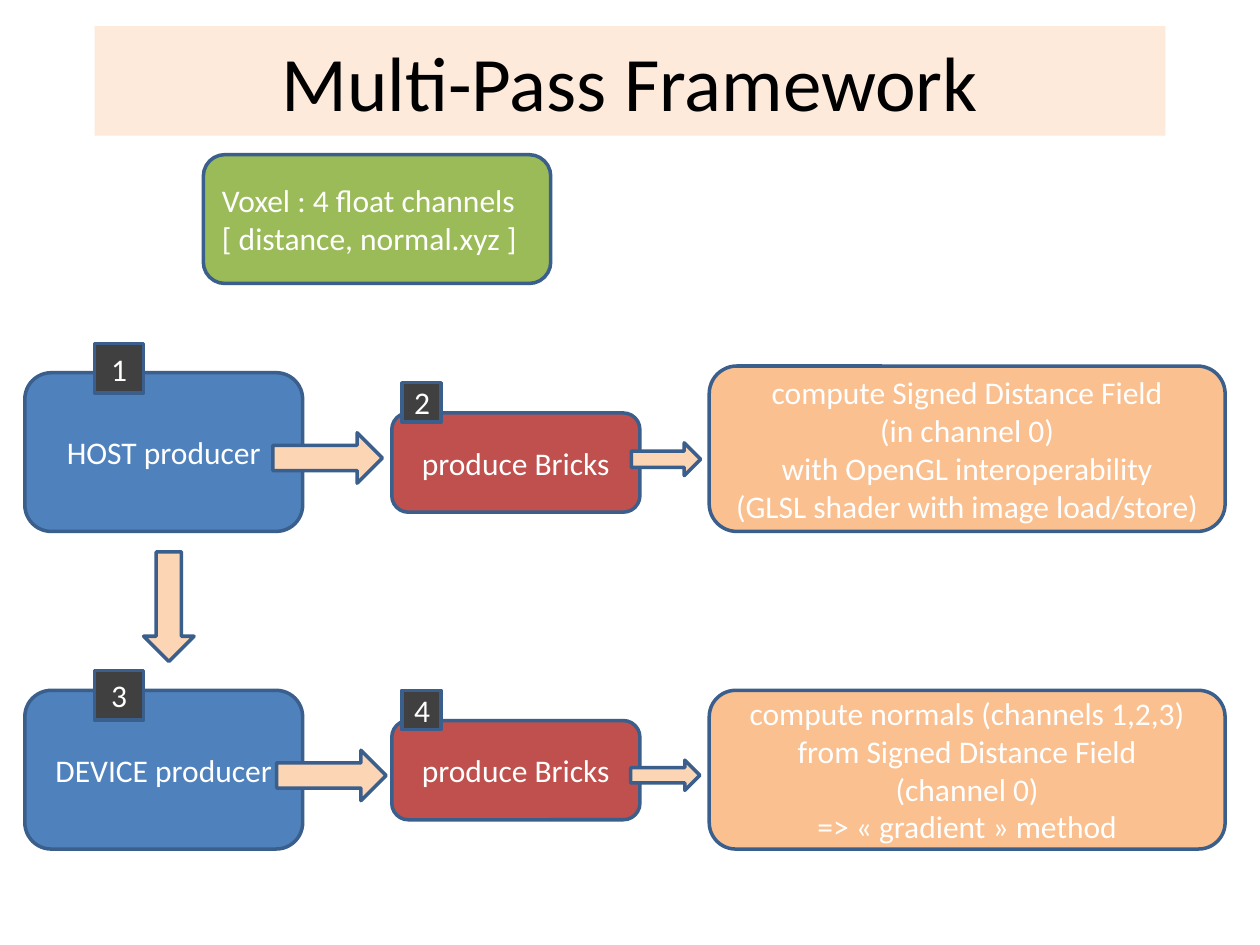
from typing import NamedTuple

from pptx import Presentation
from pptx.dml.color import RGBColor
from pptx.enum.shapes import MSO_SHAPE
from pptx.enum.text import MSO_ANCHOR, PP_ALIGN
from pptx.util import Pt

BLACK = RGBColor(0x00, 0x00, 0x00)
WHITE = RGBColor(0xFF, 0xFF, 0xFF)
CREAM = RGBColor(0xFD, 0xEA, 0xDA)
PEACH = RGBColor(0xFC, 0xD5, 0xB5)
ORANGE = RGBColor(0xFA, 0xC0, 0x90)
BLUE = RGBColor(0x4F, 0x81, 0xBD)
RED = RGBColor(0xC0, 0x50, 0x4D)
GREEN = RGBColor(0x9B, 0xBB, 0x59)
GREY = RGBColor(0x40, 0x40, 0x40)
EDGE = RGBColor(0x3A, 0x5F, 0x8C)
FONT = "Calibri"


class Box(NamedTuple):
    left: float
    top: float
    width: float
    height: float
    fill: RGBColor
    lines: tuple[str, ...]
    kind: MSO_SHAPE = MSO_SHAPE.ROUNDED_RECTANGLE
    align: PP_ALIGN = PP_ALIGN.CENTER


class Arrow(NamedTuple):
    left: float
    top: float
    width: float
    height: float
    turn: float = 270


def badge(left: float, top: float, size: float, label: str) -> Box:
    return Box(left, top, size, size, GREY, (label,), MSO_SHAPE.RECTANGLE)


def add_text(frame, lines: tuple[str, ...], size: float, color: RGBColor,
             align: PP_ALIGN) -> None:
    frame.word_wrap = True
    frame.vertical_anchor = MSO_ANCHOR.MIDDLE
    for i, line in enumerate(lines):
        para = frame.add_paragraph() if i else frame.paragraphs[0]
        para.alignment = align
        run = para.add_run()
        run.text = line
        run.font.name = FONT
        run.font.size = Pt(size)
        run.font.color.rgb = color


def add_shape(slide, kind: MSO_SHAPE, item: Box | Arrow, fill: RGBColor):
    """Add a filled, outlined shape in the place the item gives."""
    shape = slide.shapes.add_shape(kind, *map(Pt, item[:4]))
    shape.shadow.inherit = False
    shape.fill.solid()
    shape.fill.fore_color.rgb = fill
    shape.line.color.rgb = EDGE
    shape.line.width = Pt(2)
    return shape


def draw_box(slide, box: Box) -> None:
    shape = add_shape(slide, box.kind, box, box.fill)
    add_text(shape.text_frame, box.lines, 18, WHITE, box.align)


def draw_arrow(slide, arrow: Arrow) -> None:
    shape = add_shape(slide, MSO_SHAPE.DOWN_ARROW, arrow, PEACH)
    shape.rotation = arrow.turn


def draw_title(slide) -> None:
    title = slide.shapes.title
    title.left, title.top = Pt(54), Pt(15)
    title.width, title.height = Pt(612), Pt(62.5)
    title.fill.solid()
    title.fill.fore_color.rgb = CREAM
    add_text(title.text_frame, ("Multi-Pass Framework",), 44, BLACK,
             PP_ALIGN.CENTER)


BOXES = (
    Box(14.2, 213, 158.8, 90.7, BLUE, ("HOST producer",)),
    Box(14.2, 394.5, 158.8, 90.7, BLUE, ("DEVICE producer",)),
    Box(223.9, 236, 141.8, 56.7, RED, ("produce Bricks",)),
    Box(223.9, 411.8, 141.8, 56.7, RED, ("produce Bricks",)),
    Box(116.2, 88.4, 198.5, 73.6, GREEN,
        ("Voxel : 4 float channels", "[ distance, normal.xyz ]"),
        align=PP_ALIGN.LEFT),
    Box(405.3, 209.2, 294.8, 94.5, ORANGE,
        ("compute Signed Distance Field", "(in channel 0)",
         "with OpenGL interoperability",
         "(GLSL shader with image load/store)")),
    Box(405.3, 394.5, 294.8, 90.7, ORANGE,
        ("compute normals (channels 1,2,3)", "from Signed Distance Field",
         "(channel 0)", "=> « gradient » method")),
)

ARROWS = (
    Arrow(172.8, 230.4, 28.8, 62.6),
    Arrow(175, 411.8, 28.8, 62.6),
    Arrow(82.1, 315.4, 28.8, 62.6, 0),
    Arrow(371.2, 242.6, 18.7, 39.6),
    Arrow(371.5, 423.2, 17.3, 39.6),
)

BADGES = (
    badge(53.9, 196.4, 28.2, "1"),
    badge(229.6, 218.7, 22.5, "2"),
    badge(53.9, 383.2, 28.2, "3"),
    badge(229.6, 394.5, 22.5, "4"),
)


def main() -> None:
    deck = Presentation()
    deck.slide_width, deck.slide_height = Pt(720), Pt(540)
    slide = deck.slides.add_slide(deck.slide_layouts[0])
    sub = slide.placeholders[1].element
    sub.getparent().remove(sub)
    draw_title(slide)
    for box in BOXES:
        draw_box(slide, box)
    for arrow in ARROWS:
        draw_arrow(slide, arrow)
    for box in BADGES:
        draw_box(slide, box)
    deck.save("out.pptx")


if __name__ == "__main__":
    main()
